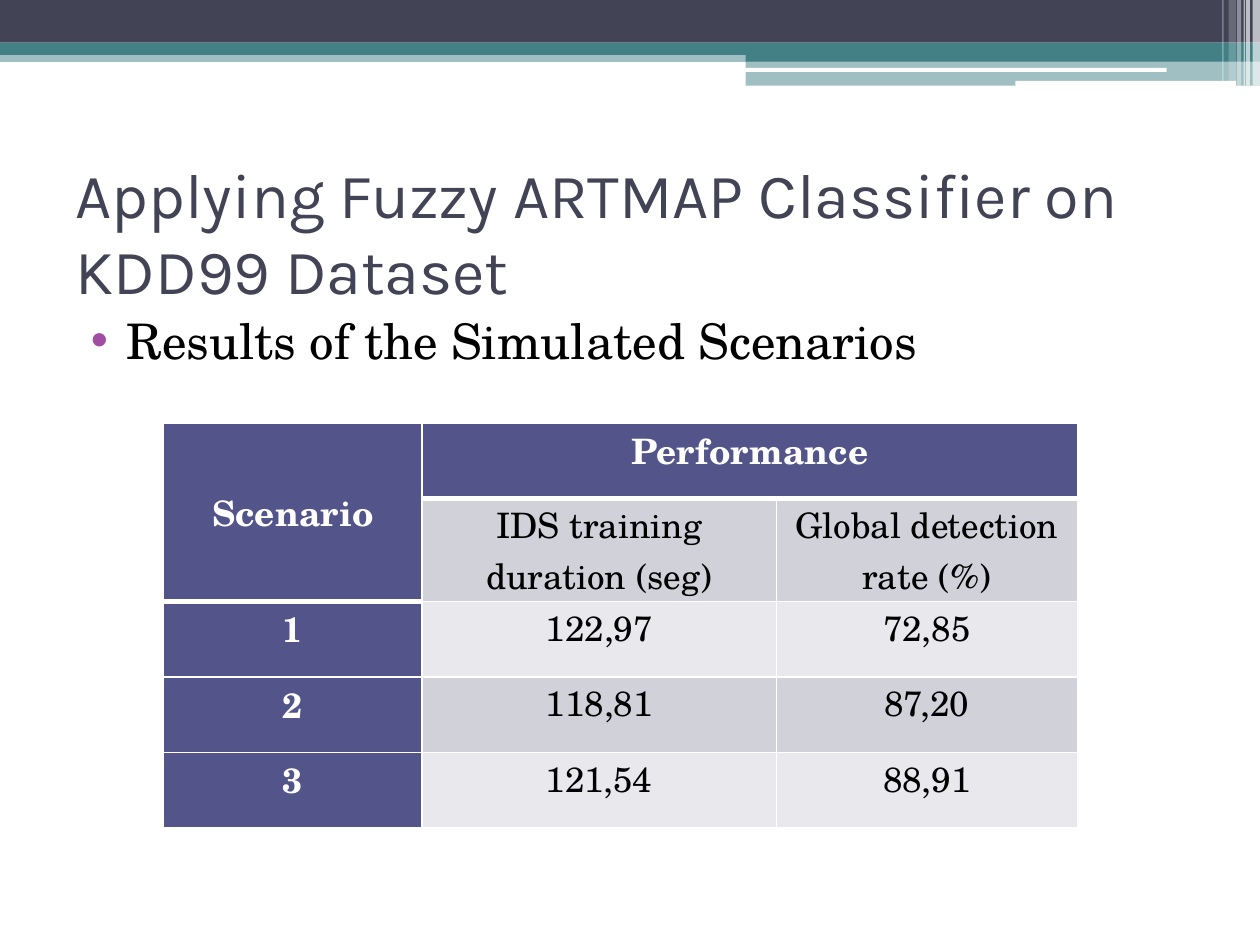
import pptx
import pptx.dml.color
import pptx.enum.shapes
import pptx.enum.text
import pptx.oxml
import pptx.oxml.ns
import pptx.util
import lxml.etree

Cm = pptx.util.Cm
Pt = pptx.util.Pt
RGBColor = pptx.dml.color.RGBColor
SHAPE = pptx.enum.shapes.MSO_SHAPE
ALIGN = pptx.enum.text.PP_ALIGN
ANCHOR = pptx.enum.text.MSO_ANCHOR
qn = pptx.oxml.ns.qn

SLATE = RGBColor(0x42, 0x44, 0x56)
TEAL = RGBColor(0x43, 0x80, 0x86)
INDIGO = RGBColor(0x53, 0x54, 0x8A)
PURPLE = RGBColor(0xA0, 0x4D, 0xA3)
BAND_DARK = RGBColor(0xD1, 0xD1, 0xDA)
BAND_LIGHT = RGBColor(0xE9, 0xE9, 0xED)
WHITE = RGBColor(0xFF, 0xFF, 0xFF)
BLACK = RGBColor(0, 0, 0)

HEAD_FONT = "Karla"
BODY_FONT = "TeX Gyre Schola"

TITLE = "Applying Fuzzy ARTMAP Classifier on KDD99 Dataset"
BULLET = "Results of the Simulated Scenarios"
ROWS = [
    ("Scenario", "Performance", ""),
    ("", "IDS training duration (seg)", "Global detection rate (%)"),
    ("1", "122,97", "72,85"),
    ("2", "118,81", "87,20"),
    ("3", "121,54", "88,91"),
]
COL_WIDTHS = (5.21, 7.14, 6.07)
ROW_HEIGHT = 1.52
THICK_BELOW = {(0, 0), (0, 1), (0, 2), (1, 0)}

BARS = [
    (0, 1.02, 25.4, 0.23, TEAL, 50, SHAPE.RECTANGLE),
    (0, 0, 25.4, 0.86, SLATE, 100, SHAPE.RECTANGLE),
    (0, 0.86, 25.4, 0.25, TEAL, 100, SHAPE.RECTANGLE),
    (15.03, 0.99, 10.37, 0.25, TEAL, 100, SHAPE.RECTANGLE),
    (15.03, 1.22, 10.37, 0.51, TEAL, 50, SHAPE.RECTANGLE),
    (15.01, 1.37, 8.51, 0.08, WHITE, 100, SHAPE.ROUNDED_RECTANGLE),
    (20.47, 1.63, 4.45, 0.1, WHITE, 100, SHAPE.ROUNDED_RECTANGLE),
]
STRIPES = [
    (25.25, 0.15, 1.73, 65),
    (25.12, 0.08, 1.73, 65),
    (25.07, 0.03, 1.73, 60),
    (24.94, 0.08, 1.73, 40),
    (24.77, 0.15, 1.63, 20),
    (24.64, 0.03, 1.63, 30),
]


def add_bar(shapes, x, y, w, h, color, opacity, kind):
    sp = shapes.add_shape(kind, Cm(x), Cm(y), Cm(w), Cm(h))
    sp.shadow.inherit = False
    sp.fill.solid()
    sp.fill.fore_color.rgb = color
    sp.line.fill.background()
    if opacity < 100:
        clr = sp.fill._xPr.find(qn("a:solidFill"))[0]
        lxml.etree.SubElement(clr, qn("a:alpha"), val=str(opacity * 1000))


def write(tf, text, size, font, color, bold=False, align=ALIGN.LEFT, bullet=None):
    p = tf.paragraphs[0]
    p.alignment = align
    p.space_before = Pt(0)
    if bullet:
        pPr = p._p.get_or_add_pPr()
        pPr.set("marL", str(Cm(1.02)))
        pPr.set("indent", str(Cm(-0.71)))
        buClr = lxml.etree.SubElement(pPr, qn("a:buClr"))
        lxml.etree.SubElement(buClr, qn("a:srgbClr"), val=str(bullet))
        lxml.etree.SubElement(pPr, qn("a:buChar"), char="•")
    r = p.add_run()
    r.text = text
    r.font.size = Pt(size)
    r.font.name = font
    r.font.bold = bold
    r.font.color.rgb = color


def place(sp, x, y, w, h, anchor):
    sp.left, sp.top, sp.width, sp.height = Cm(x), Cm(y), Cm(w), Cm(h)
    tf = sp.text_frame
    tf.word_wrap = True
    tf.auto_size = pptx.enum.text.MSO_AUTO_SIZE.NONE
    tf.vertical_anchor = anchor
    return tf


def set_borders(cell, widths):
    tcPr = cell._tc.get_or_add_tcPr()
    for i, (side, width) in enumerate(widths.items()):
        ln = lxml.etree.Element(qn("a:ln" + side), w=str(Pt(width)))
        fill = lxml.etree.SubElement(ln, qn("a:solidFill"))
        lxml.etree.SubElement(fill, qn("a:srgbClr"), val=str(WHITE))
        tcPr.insert(i, ln)


def add_results(shapes):
    frame = shapes.add_table(len(ROWS), len(COL_WIDTHS), Cm(3.3), Cm(8.53),
                             Cm(sum(COL_WIDTHS)), Cm(ROW_HEIGHT * len(ROWS)))
    table = frame.table
    for col, width in zip(table.columns, COL_WIDTHS):
        col.width = Cm(width)
    for row in table.rows:
        row.height = Cm(ROW_HEIGHT)
    table.cell(0, 0).merge(table.cell(1, 0))
    table.cell(0, 1).merge(table.cell(0, 2))
    for i, row in enumerate(ROWS):
        for j, text in enumerate(row):
            cell = table.cell(i, j)
            header = i == 0 or j == 0
            cell.margin_left = cell.margin_right = Cm(0.18)
            cell.margin_top = cell.margin_bottom = 0
            cell.vertical_anchor = ANCHOR.MIDDLE if i == j == 0 else ANCHOR.TOP
            cell.fill.solid()
            band = BAND_DARK if i % 2 else BAND_LIGHT
            cell.fill.fore_color.rgb = INDIGO if header else band
            top = 3 if (i - 1, j) in THICK_BELOW else 1
            bottom = 3 if (i, j) in THICK_BELOW else 1
            set_borders(cell, {"L": 1, "R": 1, "T": top, "B": bottom})
            if text:
                write(cell.text_frame, text, size=20, font=BODY_FONT,
                      color=WHITE if header else BLACK, bold=header,
                      align=ALIGN.CENTER)


def main():
    prs = pptx.Presentation()
    prs.slide_width, prs.slide_height = Cm(25.4), Cm(19.05)
    slide = prs.slides.add_slide(prs.slide_layouts[1])
    for bar in BARS:
        add_bar(slide.shapes, *bar)
    for x, w, h, opacity in STRIPES:
        add_bar(slide.shapes, x, 0, w, h, WHITE, opacity, SHAPE.RECTANGLE)

    tf = place(slide.shapes.title, 1.27, 3.18, 22.86, 2.97, ANCHOR.MIDDLE)
    write(tf, TITLE, size=36, font=HEAD_FONT, color=SLATE)
    tf = place(slide.placeholders[1], 1.27, 6.25, 22.86, 12.01, ANCHOR.TOP)
    tf.margin_top = 0
    write(tf, BULLET, size=28, font=BODY_FONT, color=BLACK, bullet=PURPLE)
    add_results(slide.shapes)
    prs.save("out.pptx")


if __name__ == "__main__":
    main()
